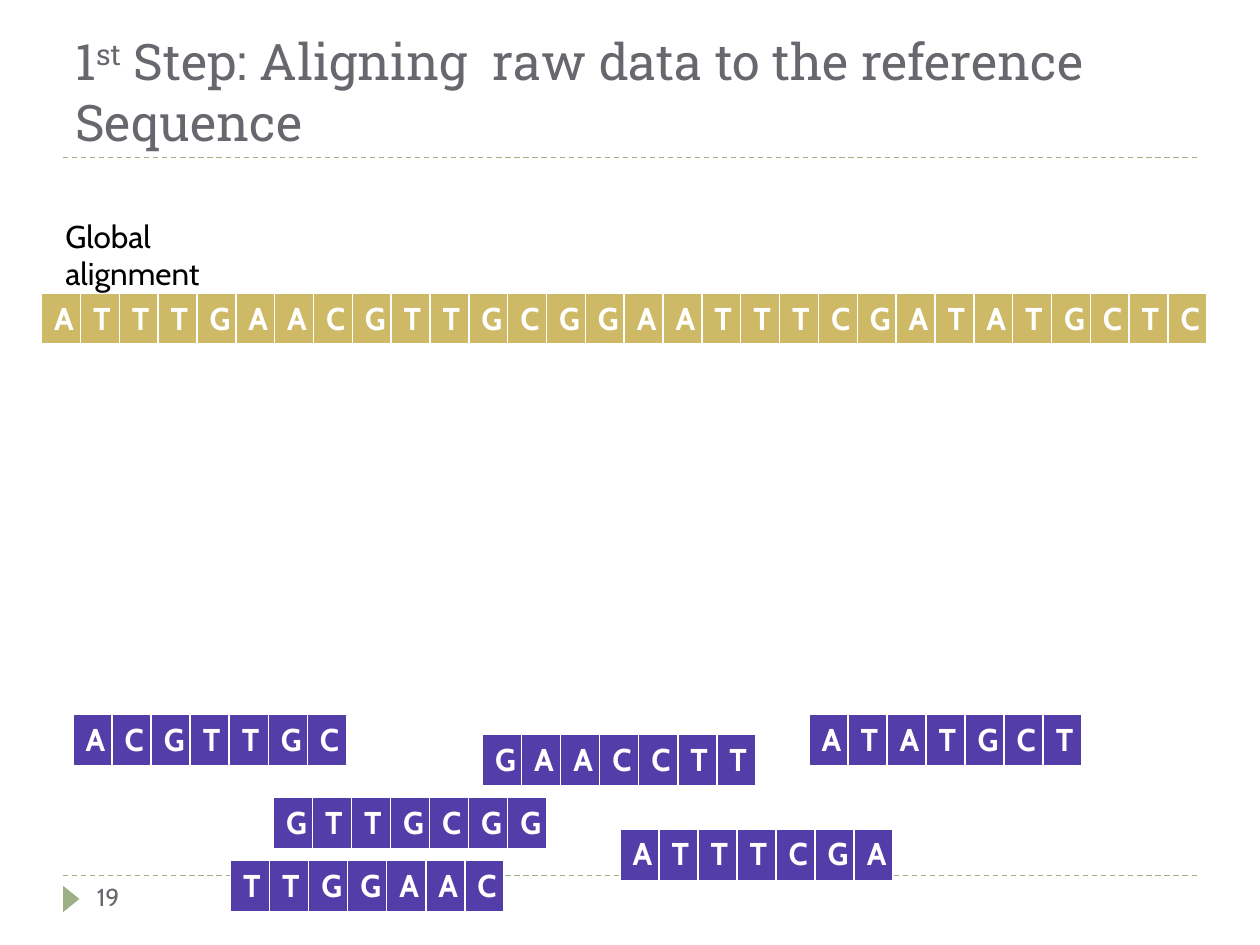
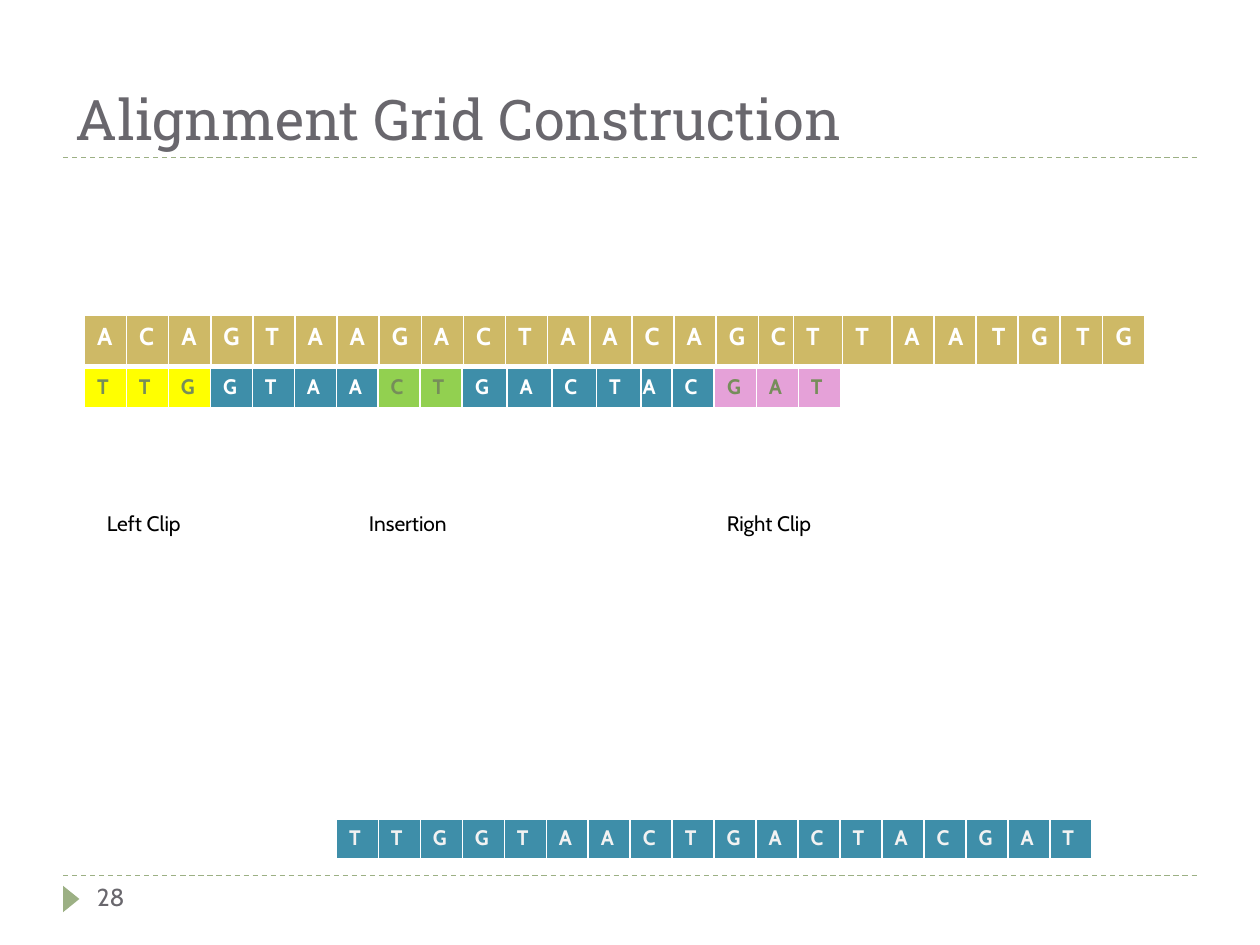
from lxml import etree
from pptx import Presentation
from pptx.dml.color import RGBColor
from pptx.enum import dml, shapes, text
from pptx.oxml import ns
from pptx.util import Inches, Pt

BODY, HEADING = "Cabin", "Roboto Slab"
WHITE, BLACK, GREY, SAGE, MOSS = "FFFFFF", "000000", "69676D", "9CB084", "768D5A"
GOLD, VIOLET, TEAL = "CEB966", "533EA9", "3E8EA9"
YELLOW, GREEN, PINK = "FFFF00", "92D050", "E5A1D8"
BORDERS = {"lnL": 1, "lnR": 1, "lnT": 1, "lnB": 3}
BASE_WIDTH = 1 / 3


def color(value):
    return RGBColor.from_string(value)


class Deck:
    def __init__(self):
        self.file = Presentation()
        self.file.slide_width, self.file.slide_height = Inches(10), Inches(7.5)
        self.slide = None

    def style(self, paragraph, size, ink, face=BODY, bold=False):
        font = paragraph.font
        font.name, font.size, font.bold = face, Pt(size), bold
        font.color.rgb = color(ink)

    def new_slide(self, title, title_size, number):
        self.slide = self.file.slides.add_slide(self.file.slide_layouts[6])
        for y in (6.95, 1.25):
            self.rule(y)
        self.marker()
        self.title(title, title_size)
        self.label(str(number), 0.67, 6.95, 2.17, 0.4, 14, GREY)

    def rule(self, y):
        rule = self.slide.shapes.add_connector(
            shapes.MSO_CONNECTOR.STRAIGHT, Inches(0.5), Inches(y), Inches(9.5), Inches(y))
        rule.line.color.rgb = color(SAGE)
        rule.line.width = Pt(0.75)
        rule.line.dash_style = dml.MSO_LINE.DASH
        etree.SubElement(rule._element.spPr, ns.qn("a:effectLst"))

    def marker(self):
        marker = self.slide.shapes.add_shape(
            shapes.MSO_SHAPE.ISOSCELES_TRIANGLE,
            Inches(0.46), Inches(7.07), Inches(0.21), Inches(0.13))
        marker.rotation = 90
        marker.shadow.inherit = False
        marker.fill.solid()
        marker.fill.fore_color.rgb = color(SAGE)
        marker.line.fill.background()

    def label(self, words, x, y, width, height, size, ink=BLACK, wrap=True):
        box = self.slide.shapes.add_textbox(
            Inches(x), Inches(y), Inches(width), Inches(height))
        box.text_frame.word_wrap = wrap
        paragraph = box.text_frame.paragraphs[0]
        paragraph.text = words
        self.style(paragraph, size, ink)
        return box.text_frame

    def title(self, parts, size):
        frame = self.label("", 0.5, 0.17, 9, 1.08, size)
        frame.vertical_anchor = text.MSO_ANCHOR.BOTTOM
        heading = frame.paragraphs[0]
        self.style(heading, size, GREY, HEADING)
        for words, baseline in parts:
            run = heading.add_run()
            run.text = words
            if baseline:
                run._r.get_or_add_rPr().set("baseline", str(baseline * 1000))

    def borders(self, cell):
        properties = cell._tc.get_or_add_tcPr()
        for side, width in BORDERS.items():
            line = etree.SubElement(properties, ns.qn(f"a:{side}"), w=str(Pt(width)))
            fill = etree.SubElement(line, ns.qn("a:solidFill"))
            etree.SubElement(fill, ns.qn("a:srgbClr"), val=WHITE)

    def sequence(self, bases, x, y, widths, height, size, fill, ink=WHITE, right_from=None):
        grid = self.slide.shapes.add_table(
            1, len(bases), Inches(x), Inches(y), Inches(sum(widths)), Inches(height)).table
        grid.first_row = grid.horz_banding = False
        grid.rows[0].height = Inches(height)
        for index, (base, width) in enumerate(zip(bases, widths)):
            grid.columns[index].width = Inches(width)
            cell = grid.cell(0, index)
            self.borders(cell)
            cell.fill.solid()
            cell.fill.fore_color.rgb = color(fill)
            paragraph = cell.text_frame.paragraphs[0]
            paragraph.text = base
            self.style(paragraph, size, ink, bold=True)
            if right_from is not None and index >= right_from:
                paragraph.alignment = text.PP_ALIGN.RIGHT


def aligning_reads(deck):
    deck.new_slide([("1", 0), ("st", 30),
                    (" Step: Aligning  raw data to the reference Sequence", 0)], 28.8, 19)
    reference = "ATTTGAACGTTGCGGAATTTCGATATGCTC"
    deck.sequence(reference, 0.33, 2.33, [9.25 / 30] * 30, 0.41, 18, GOLD)
    reads = [("ACGTTGC", 0.58, 5.67), ("GTTGCGG", 2.17, 6.33), ("TTGGAAC", 1.83, 6.83),
             ("ATATGCT", 6.42, 5.67), ("ATTTCGA", 4.92, 6.58), ("GAACCTT", 3.83, 5.83)]
    for bases, x, y in reads:
        deck.sequence(bases, x, y, [0.31] * len(bases), 0.42, 18, VIOLET)
    deck.label("Global alignment", 0.42, 1.67, 1.92, 0.4, 18)


def alignment_grid(deck):
    deck.new_slide([("Alignment Grid Construction", 0)], 32, 28)
    special = [0.28, 0.39, 0.39]
    regular = (8.42 - sum(special)) / 22
    deck.sequence("ACAGTAAGACTAACAGCTTAATGTG", 0.67, 2.5,
                  [regular] * 16 + special + [regular] * 6, 0.41, 14, GOLD, right_from=20)
    segments = [("GTAA", 1.67, BASE_WIDTH, TEAL, WHITE),
                ("TTG", 0.67, BASE_WIDTH, YELLOW, MOSS),
                ("GAT", 5.67, BASE_WIDTH, PINK, MOSS),
                ("CT", 3, BASE_WIDTH, GREEN, MOSS),
                ("AC", 5, BASE_WIDTH, TEAL, WHITE),
                ("GACT", 3.67, 1.42 / 4, TEAL, WHITE)]
    for bases, x, width, fill, ink in segments:
        deck.sequence(bases, x, 2.92, [width] * len(bases), 0.33, 12, fill, ink)
    read = "TTGGTAACTGACTACGAT"
    deck.sequence(read, 2.67, 6.5, [BASE_WIDTH] * len(read), 0.33, 12, TEAL, "F2F2F2")
    for words, x, width in [("Left Clip", 0.75, 0.89), ("Insertion", 2.83, 0.92),
                            ("Right Clip", 5.67, 1)]:
        deck.label(words, x, 4, width, 0.3, 12, wrap=False)


def main():
    deck = Deck()
    aligning_reads(deck)
    alignment_grid(deck)
    deck.file.save("out.pptx")


if __name__ == "__main__":
    main()
